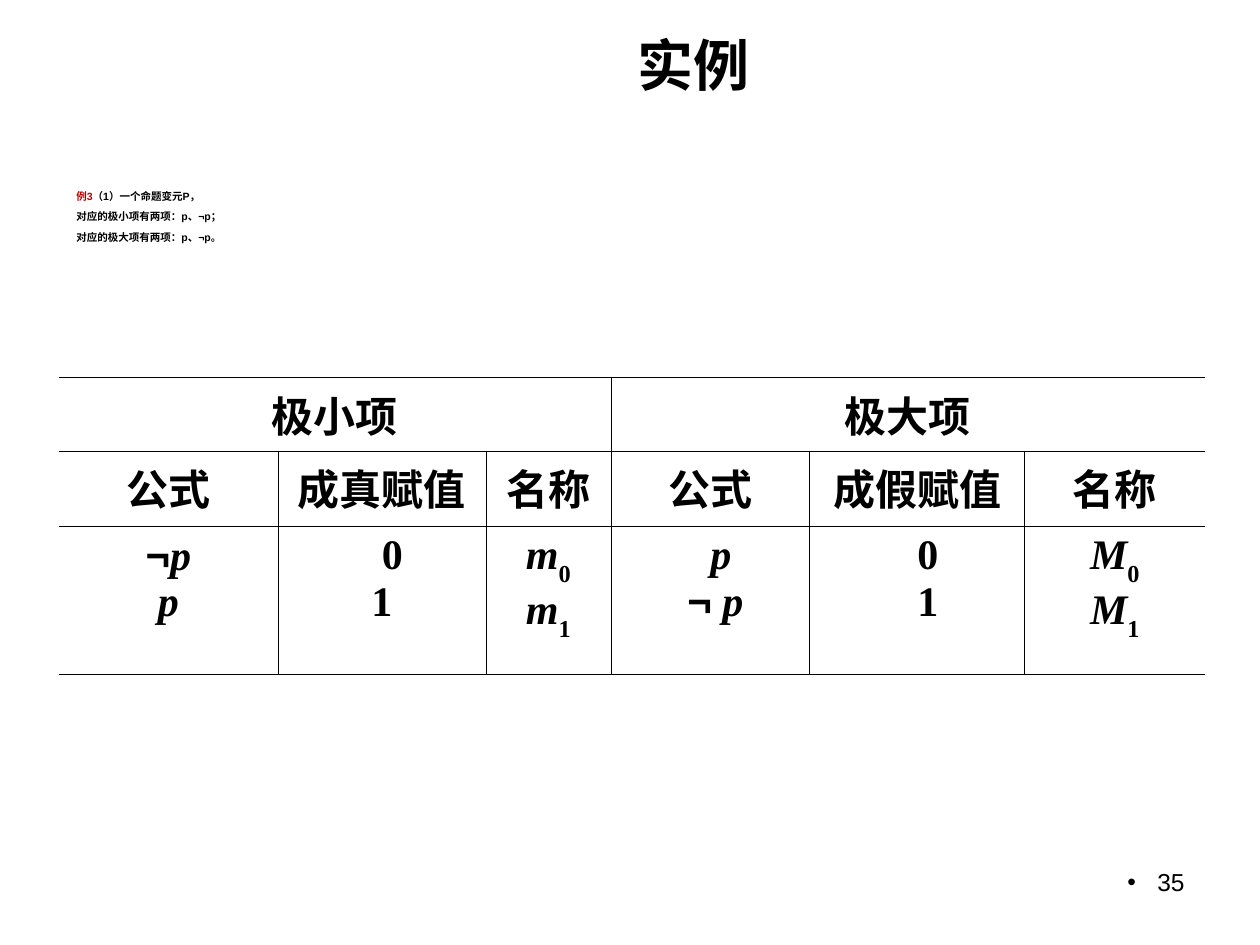
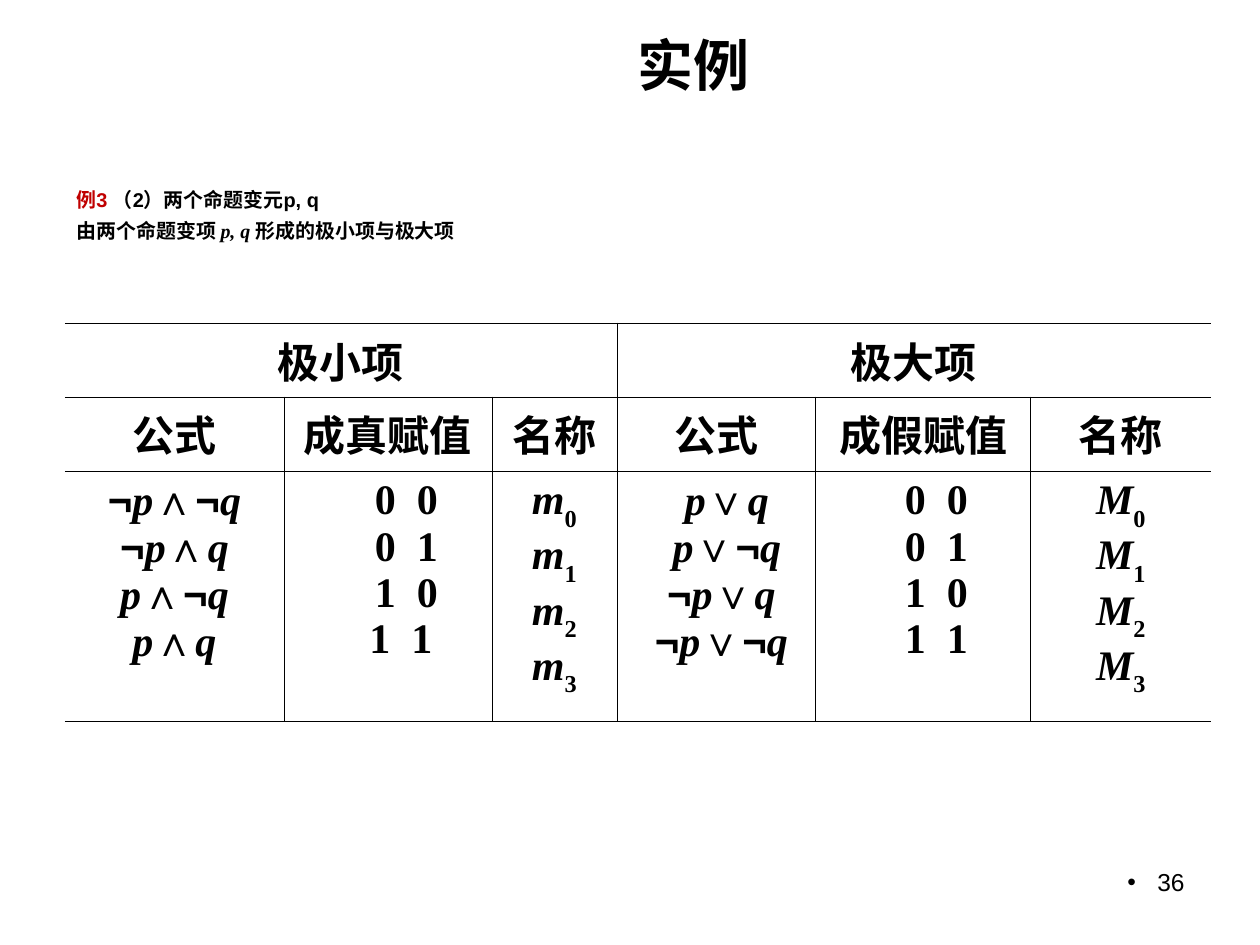
"""Build two example slides tabulating minterms and maxterms."""
from dataclasses import dataclass
from itertools import groupby

from lxml.etree import SubElement
from pptx import Presentation
from pptx.dml.color import RGBColor
from pptx.enum.text import MSO_ANCHOR, MSO_AUTO_SIZE, PP_ALIGN
from pptx.oxml import parse_xml
from pptx.oxml.ns import nsdecls, qn
from pptx.util import Pt

PX = 914400 // 126


@dataclass(frozen=True)
class Theme:
    ink: str = "000000"
    accent: str = "C00000"
    sans: str = "Arial"
    cjk: str = "Noto Sans CJK SC"
    serif: str = "Times New Roman"
    title: int = 32
    table: int = 24
    number: int = 14
    rule: float = 0.45


T = Theme()


def style(r, size, font=T.sans, color=T.ink, bold=True, italic=False):
    r.font.size = Pt(size)
    r.font.name = font
    r.font.bold = bold
    r.font.italic = italic
    r.font.color.rgb = RGBColor.from_string(color)
    SubElement(r.font._element, qn("a:ea"), typeface=T.cjk)


def glyph_kind(ch):
    if ch in "pqmM":
        return "variable"
    return "operator" if ch in "¬∧∨" else "value"


COLS = [219, 208, 125, 199, 215, 180]
HEADS = ["公式", "成真赋值", "名称", "公式", "成假赋值", "名称"]
SLIDES = [
    dict(
        number="35", size=6, align=PP_ALIGN.LEFT,
        intro=[
            [("例3", "accent"), ("（1）一个命题变元P，", "plain")],
            [("对应的极小项有两项：p、¬p；", "plain")],
            [("对应的极大项有两项：p、¬p。", "plain")],
        ],
        left=59, top=377, rows=[74, 75, 148],
        body=[
            [("¬p", 0), ("p", 0)],
            [("0", 21), ("1", 0)],
            [("m0", 0), ("m1", 0)],
            [("p", 21), ("¬ p", 10)],
            [("0", 21), ("1", 21)],
            [("M0", 0), ("M1", 0)],
        ],
    ),
    dict(
        number="36", size=11.4, align=PP_ALIGN.JUSTIFY,
        intro=[
            [("例3 ", "accent"), ("（2）两个命题变元p, q", "plain")],
            [("由两个命题变项 ", "plain"), ("p, q ", "math"),
             ("形成的极小项与极大项", "plain")],
        ],
        left=65, top=323, rows=[74, 74, 250],
        body=[
            [("¬p∧¬q", 0), ("¬p∧q", 0), ("p∧¬q", 0), ("p∧q", 0)],
            [("0 0", 37), ("0 1", 37), ("1 0", 37), ("1 1", 26)],
            [(f"m{i}", 0) for i in range(4)],
            [("p∨q", 21), ("p∨¬q", 21), ("¬p∨q", 10), ("¬p∨¬q", 10)],
            [(v, 26) for v in ("0 0", "0 1", "1 0", "1 1")],
            [(f"M{i}", 0) for i in range(4)],
        ],
    ),
]

prs = Presentation()
prs.slide_width, prs.slide_height = 1260 * PX, 945 * PX

for data in SLIDES:
    s = prs.slides.add_slide(prs.slide_layouts[5])

    sp = s.shapes.title
    sp.left, sp.top, sp.width, sp.height = (v * PX for v in (272, 35, 843, 58))
    tf = sp.text_frame
    tf.text = "实例"
    tf.auto_size = MSO_AUTO_SIZE.NONE
    tf.vertical_anchor = MSO_ANCHOR.MIDDLE
    p = tf.paragraphs[0]
    p.alignment = PP_ALIGN.CENTER
    style(p.runs[0], T.title)

    sp = s.shapes.add_textbox(903 * PX, 861 * PX, 294 * PX, 66 * PX)
    tf = sp.text_frame
    tf.word_wrap = True
    p = tf.paragraphs[0]
    p.text = data["number"]
    p.alignment = PP_ALIGN.RIGHT
    pPr = p._p.get_or_add_pPr()
    pPr.set("marL", str(30 * PX))
    pPr.set("indent", str(-30 * PX))
    SubElement(pPr, qn("a:buFont"), typeface=T.sans)
    SubElement(pPr, qn("a:buChar"), char="•")
    style(p.runs[0], T.number, bold=False)

    sp = s.shapes.add_textbox(64 * PX, 185 * PX, 1134 * PX, 73 * PX)
    tf = sp.text_frame
    tf.word_wrap = True
    for i, parts in enumerate(data["intro"]):
        p = tf.add_paragraph() if i else tf.paragraphs[0]
        p.alignment = data["align"]
        p.line_spacing = 0.88
        p.space_before = Pt(5.4 if i else 0)
        for text, kind in parts:
            r = p.add_run()
            r.text = text
            math = kind == "math"
            style(r, data["size"], T.serif if math else T.sans,
                  T.accent if kind == "accent" else T.ink, italic=math)

    table = s.shapes.add_table(3, 6, data["left"] * PX, data["top"] * PX,
                               sum(COLS) * PX, sum(data["rows"]) * PX).table
    table.first_row = table.horz_banding = False
    for col, width in zip(table.columns, COLS):
        col.width = width * PX
    for row, height in zip(table.rows, data["rows"]):
        row.height = height * PX
    for c, head in enumerate(HEADS):
        table.cell(1, c).text = head
    for c, head in ((0, "极小项"), (3, "极大项")):
        table.cell(0, c).merge(table.cell(0, c + 2))
        table.cell(0, c).text = head
    for row in list(table.rows)[:2]:
        for cell in row.cells:
            for p in cell.text_frame.paragraphs:
                p.alignment = PP_ALIGN.CENTER
                for r in p.runs:
                    style(r, T.table, T.cjk)

    for c, lines in enumerate(data["body"]):
        tf = table.cell(2, c).text_frame
        for i, (line, indent) in enumerate(lines):
            p = tf.add_paragraph() if i else tf.paragraphs[0]
            p.alignment = PP_ALIGN.CENTER
            p._p.get_or_add_pPr().set("marL", str(indent * PX))
            for kind, chars in groupby(line, glyph_kind):
                r = p.add_run()
                r.text = "".join(chars)
                style(r, T.table, T.sans if kind == "operator" else T.serif,
                      italic=kind == "variable")
                if kind == "value" and line[0] in "mM":
                    r.font._element.set("baseline", "-30000")
                elif r.text == line and " " in line:
                    r.font._element.set("spc", "300")

    for y, row in enumerate(table.rows):
        for x, cell in enumerate(row.cells):
            cell.fill.background()
            inner = 3 if y == 0 else 1
            edges = dict(L=x >= inner, R=x < 6 - inner, T=True, B=True)
            for i, (side, shown) in enumerate(edges.items()):
                fill = (f'<a:solidFill><a:srgbClr val="{T.ink}"/></a:solidFill>'
                        if shown else "<a:noFill/>")
                cell._tc.get_or_add_tcPr().insert(i, parse_xml(
                    f'<a:ln{side} {nsdecls("a")} w="{Pt(T.rule)}">{fill}</a:ln{side}>'))

prs.save("out.pptx")
